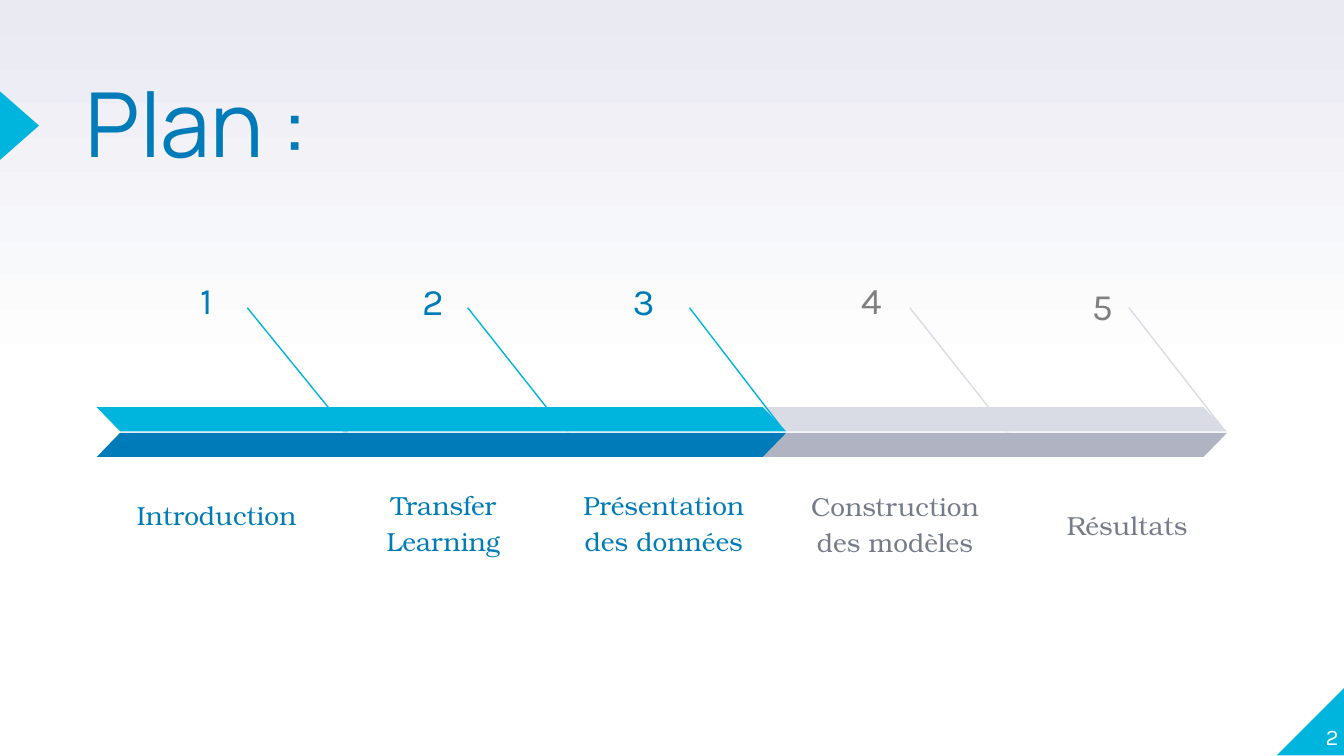
"""Build the "Plan :" timeline slide with five stages."""
from lxml.etree import SubElement
from pptx import Presentation
from pptx.dml.color import RGBColor
from pptx.enum.shapes import MSO_CONNECTOR, MSO_SHAPE
from pptx.enum.text import MSO_ANCHOR as ANCHOR, PP_ALIGN as ALIGN
from pptx.oxml.ns import qn
from pptx.util import Inches, Pt

WHITE = RGBColor(0xFF, 0xFF, 0xFF)
LAVENDER = RGBColor(0xE9, 0xEA, 0xF2)
CYAN = RGBColor(0x00, 0xB5, 0xDD)
BLUE = RGBColor(0x00, 0x7B, 0xB9)
LIGHT_GREY = RGBColor(0xDA, 0xDC, 0xE5)
MID_GREY = RGBColor(0xB0, 0xB3, 0xC1)
SLATE = RGBColor(0x75, 0x7B, 0x89)
GREY = RGBColor(0x80, 0x80, 0x80)

prs = Presentation()
prs.slide_width, prs.slide_height = Inches(10), Inches(10 * 9 / 16)
slide = prs.slides.add_slide(prs.slide_layouts[6])

fill = slide.background.fill
fill.gradient()
fill.gradient_angle = 90
for stop, position, color in zip(fill.gradient_stops, (0.5, 1), (WHITE, LAVENDER)):
    stop.position = position
    stop.color.rgb = color


def add_text(text, box, size, font, color, inset=0, anchor=ANCHOR.TOP, **formats):
    tf = slide.shapes.add_textbox(*map(Inches, box)).text_frame
    frame = {"word_wrap": True, "vertical_anchor": anchor}
    for side in ("left", "top", "right", "bottom"):
        frame["margin_" + side] = Inches(inset)
    for name, value in frame.items():
        setattr(tf, name, value)
    p = tf.paragraphs[0]
    for name, value in formats.items():
        setattr(p, name, value)
    r = p.add_run()
    r.text = text
    r.font.size, r.font.name = Pt(size), font
    r.font.color.rgb = color


def add_solid(kind, box, color, flip=False):
    s = slide.shapes.add_shape(kind, *map(Inches, box))
    s.shadow.inherit = False
    s.fill.solid()
    s.fill.fore_color.rgb = color
    s.line.fill.background()
    if flip:
        s.element.spPr.find(qn("a:xfrm")).set("flipH", "1")
    return s


add_solid(MSO_SHAPE.RIGHT_TRIANGLE, (9.5, 5.11, 0.51, 0.51), CYAN, flip=True)
add_solid(MSO_SHAPE.ISOSCELES_TRIANGLE, (-0.11, 0.79, 0.51, 0.29), CYAN).rotation = 90
add_text("Plan :", (0.64, 0.66, 6.17, 0.88), 48, "Manrope", BLUE, line_spacing=0.8)
add_text("2", (9.46, 5.07, 0.5, 0.51), 12, "Karla", WHITE,
         anchor=ANCHOR.BOTTOM, alignment=ALIGN.RIGHT)

done = (CYAN, BLUE, BLUE, BLUE)
pending = (LIGHT_GREY, MID_GREY, SLATE, GREY)
stages = [
    ("1", "Introduction", done, 0.72, 1.87, (1.84, 2.58),
     (0.92, 3.5, 1.54, 0.55), ALIGN.LEFT, (0.92, 1.91, 0.76, 0.29)),
    ("2", "Transfer Learning", done, 2.38, 1.85, (3.48, 4.2),
     (2.55, 3.69, 1.5, 0.55), ALIGN.CENTER, (2.64, 1.92, 0.76, 0.29)),
    ("4", "Construction des modèles", pending, 5.67, 1.84, (6.77, 7.49),
     (5.83, 3.54, 1.66, 0.71), ALIGN.CENTER, (5.9, 1.91, 0.76, 0.29)),
    ("5", "Résultats", pending, 7.31, 1.82, (8.4, 9.11),
     (7.84, 3.57, 1.5, 0.55), ALIGN.LEFT, (7.62, 1.96, 0.76, 0.25)),
    ("3", "Présentation des données", done, 4.05, 1.8, (5.13, 5.83),
     (4.21, 3.69, 1.46, 0.55), ALIGN.CENTER, (4.21, 1.92, 0.76, 0.29)),
]

for number, label, colors, left, width, (x1, x2), box, align, number_box in stages:
    upper, lower, label_color, number_color = colors
    add_text(label, box, 14, "TeX Gyre Bonum", label_color, 0.1, ANCHOR.BOTTOM,
             alignment=align, line_spacing=1.15)
    line = slide.shapes.add_connector(
        MSO_CONNECTOR.STRAIGHT, Inches(x1), Inches(2.29), Inches(x2), Inches(3.2))
    line.line.color.rgb = upper
    line.line.width = Pt(0.75)
    SubElement(line.element.spPr, qn("a:effectLst"))
    for top, color, flip in ((3.03, upper, True), (3.22, lower, False)):
        s = add_solid(MSO_SHAPE.PARALLELOGRAM, (left, top, width, 0.18), color, flip)
        s.adjustments[0] = 0.97
    add_text(number, number_box, 20, "Karla", number_color, 0.1,
             alignment=ALIGN.RIGHT, line_spacing=1.15, space_after=Pt(16))

prs.save("out.pptx")
